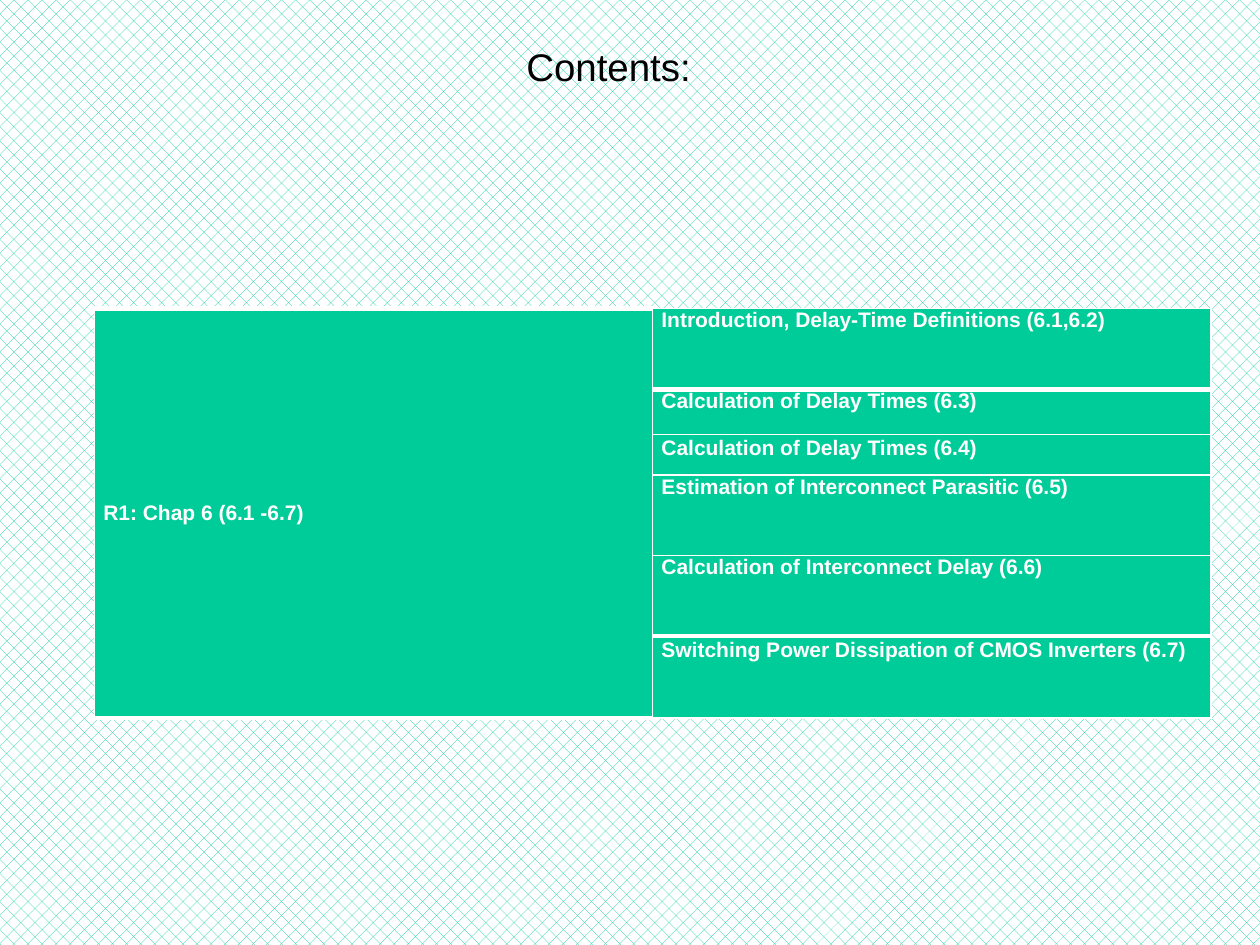
from lxml import etree
from pptx import Presentation
from pptx.dml.color import RGBColor
from pptx.enum import dml, text
from pptx.oxml import ns
from pptx.util import Inches, Pt

GREEN = RGBColor(0x00, 0xCC, 0x99)
WHITE = RGBColor(0xFF, 0xFF, 0xFF)
BLACK = RGBColor(0x00, 0x00, 0x00)
FONT = "Arial"

CHAPTER = "R1: Chap 6 (6.1 -6.7)"
# Topic, row height in inches, exact line spacing in points
TOPICS = [
    ("Introduction, Delay-Time Definitions (6.1,6.2)", 0.64, None),
    ("Calculation of Delay Times (6.3)", 0.36, None),
    ("Calculation of Delay Times (6.4)", 0.32, 14.5),
    ("Estimation of Interconnect Parasitic (6.5)", 0.64, None),
    ("Calculation of Interconnect Delay (6.6)", 0.64, None),
    ("Switching Power Dissipation of CMOS Inverters (6.7)", 0.65, 14.5),
]
LAST = len(TOPICS) - 1
COLUMN_WIDTH = 4.43


def write_paragraph(paragraph, words, size, color, bold):
    paragraph.text = words
    font = paragraph.runs[0].font
    font.name, font.size, font.bold = FONT, Pt(size), bold
    font.color.rgb = color


def set_borders(cell, top, bottom):
    properties = cell._tc.get_or_add_tcPr()
    widths = {"lnL": 1, "lnR": 1, "lnT": top, "lnB": bottom}
    for position, (side, width) in enumerate(widths.items()):
        line = etree.Element(ns.qn(f"a:{side}"), w=str(Pt(width)))
        fill = etree.SubElement(line, ns.qn("a:solidFill"))
        etree.SubElement(fill, ns.qn("a:srgbClr"), val=str(WHITE))
        properties.insert(position, line)


presentation = Presentation()
presentation.slide_width, presentation.slide_height = Inches(10), Inches(7.5)
slide = presentation.slides.add_slide(presentation.slide_layouts[5])

# Patterned background
background = slide.background.fill
background.patterned()
background.pattern = dml.MSO_PATTERN.PERCENT_25
background.fore_color.rgb = GREEN
background.back_color.rgb = WHITE

# Title
title = slide.shapes.title
title.left, title.top = Inches(0.58), Inches(0.25)
title.width, title.height = Inches(8.5), Inches(0.55)
title.text_frame.vertical_anchor = text.MSO_ANCHOR.MIDDLE
heading = title.text_frame.paragraphs[0]
write_paragraph(heading, "Contents:", 22, BLACK, False)
heading.alignment = text.PP_ALIGN.CENTER

# Contents table: one chapter beside its topics
height = sum(topic[1] for topic in TOPICS)
table = slide.shapes.add_table(
    len(TOPICS), 2, Inches(0.75), Inches(2.45),
    Inches(2 * COLUMN_WIDTH), Inches(height)).table
table.first_row = table.horz_banding = False
for column in table.columns:
    column.width = Inches(COLUMN_WIDTH)
table.cell(0, 0).merge(table.cell(LAST, 0))

for row, (topic, row_height, spacing) in enumerate(TOPICS):
    table.rows[row].height = Inches(row_height)
    chapter_cell, topic_cell = table.cell(row, 0), table.cell(row, 1)
    for cell in (chapter_cell, topic_cell):
        cell.fill.solid()
        cell.fill.fore_color.rgb = GREEN
        cell.margin_left = Inches(0.07)
        cell.margin_top = cell.margin_right = cell.margin_bottom = 0
    # Thick rules frame the chapter and set off the first and last topics
    set_borders(chapter_cell, 3 if row == 0 else 1, 3 if row in (0, LAST) else 1)
    set_borders(topic_cell, 3 if row == LAST else 1, 3 if row == 0 else 1)

    paragraph = topic_cell.text_frame.paragraphs[0]
    write_paragraph(paragraph, topic, 12, WHITE, True)
    paragraph.alignment = text.PP_ALIGN.LEFT
    if spacing:
        paragraph.line_spacing = Pt(spacing)

chapter = table.cell(0, 0)
chapter.vertical_anchor = text.MSO_ANCHOR.MIDDLE
write_paragraph(chapter.text_frame.paragraphs[0], CHAPTER, 12, WHITE, True)
chapter.text_frame.paragraphs[0].alignment = text.PP_ALIGN.LEFT

presentation.save("out.pptx")
